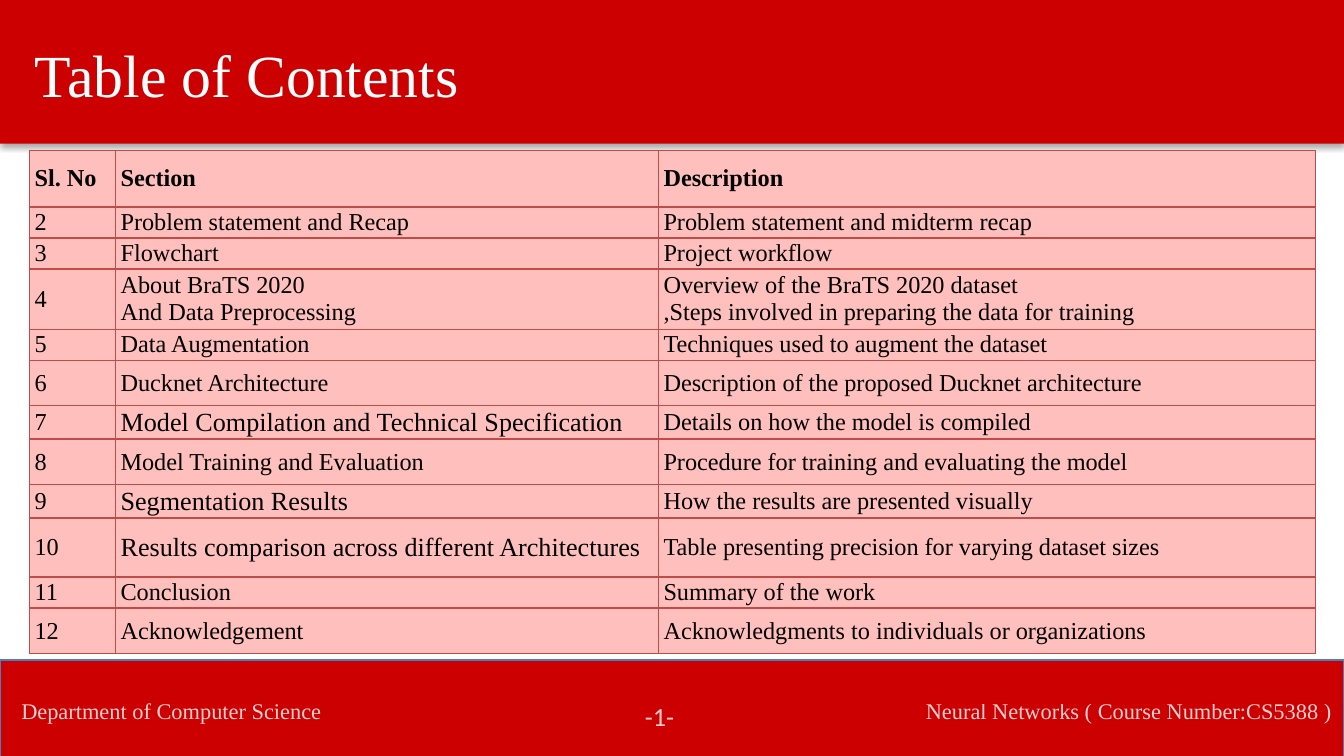
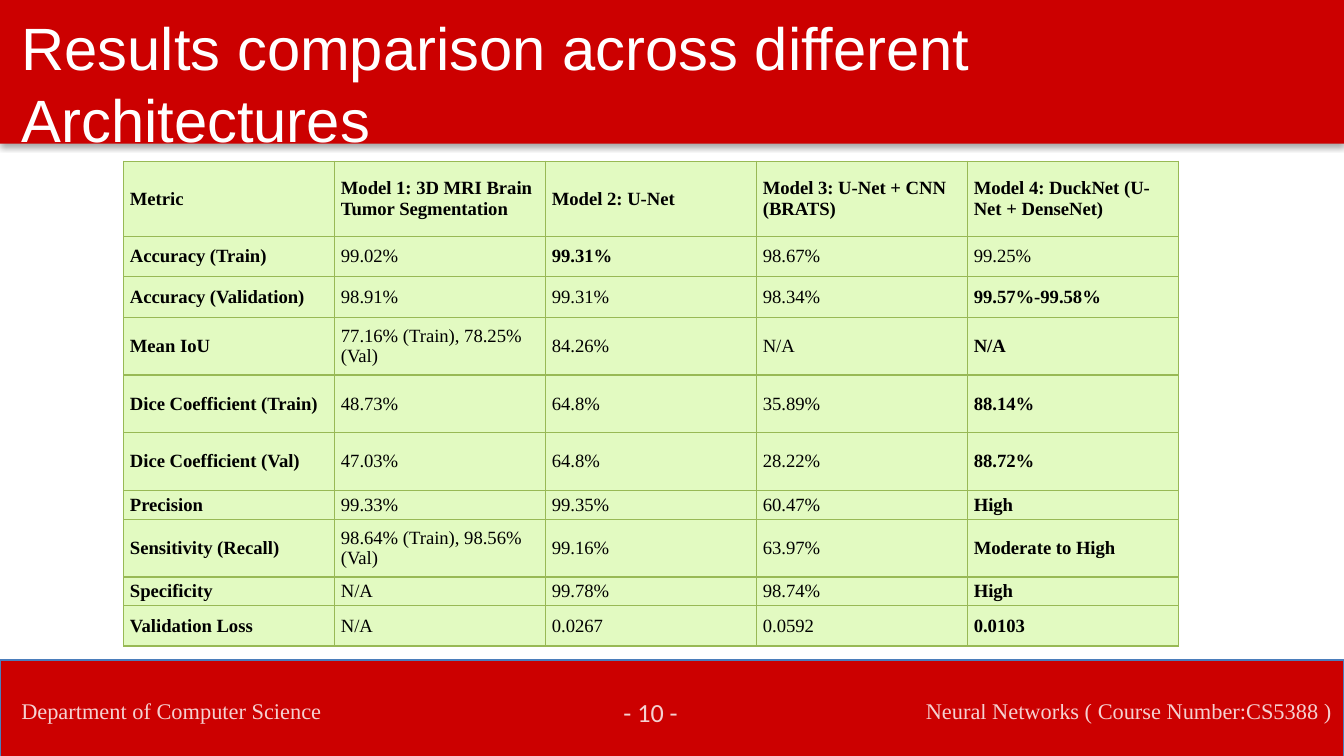
from dataclasses import dataclass
from typing import NamedTuple

from lxml.etree import SubElement
from pptx import Presentation
from pptx.dml.color import RGBColor
from pptx.enum.shapes import MSO_SHAPE as Preset
from pptx.enum.text import MSO_ANCHOR as Anchor, MSO_AUTO_SIZE as AutoSize, PP_ALIGN as Align
from pptx.oxml.ns import qn
from pptx.util import Inches, Pt

# Shared look
RED = RGBColor(0xCC, 0x00, 0x00)
BLUE = RGBColor(0x4B, 0x7E, 0xBC)
WHITE = RGBColor(0xFF, 0xFF, 0xFF)
BLACK = RGBColor(0x00, 0x00, 0x00)
PINK = RGBColor(0xFF, 0xBF, 0xBD)
BRICK = RGBColor(0xBF, 0x4C, 0x48)
LIME = RGBColor(0xE2, 0xFA, 0xC1)
OLIVE = RGBColor(0x98, 0xB9, 0x55)
SERIF = "Times New Roman"
FOOTER_OPACITY = 82


class Area(NamedTuple):
    left: float
    top: float
    width: float
    height: float

    def lengths(self) -> list:
        return [Inches(value) for value in self]


class Section(NamedTuple):
    title: str
    description: str
    height: float = 0.23
    title_size: int = 13


class Metric(NamedTuple):
    name: str
    values: tuple
    height: float
    best: int = 4


@dataclass
class Cell:
    text: str
    size: int
    bold: bool = False


@dataclass
class Row:
    height: float
    cells: list


@dataclass
class Grid:
    area: Area
    widths: list
    rows: list
    fill: RGBColor
    border: RGBColor
    side_inset: Pt
    end_inset: Pt


@dataclass
class Label:
    text: str
    area: Area
    size: int = 12
    font: str = SERIF
    wrap: bool = True


@dataclass
class Page:
    title: str
    title_area: Area
    title_font: str
    number: Label
    grid: Grid


HEADER_AREA = Area(0, 0, 10, 1.07)
FOOTER_AREA = Area(0, 4.91, 10, 0.72)
FOOTERS = [
    Label("Neural Networks ( Course Number:CS5388 )", Area(6.79, 5.14, 3.72, 0.3)),
    Label("Department of Computer Science", Area(0.06, 5.14, 3.72, 0.3)),
]

# Contents, numbered from 2
SECTIONS = [
    Section("Problem statement and Recap", "Problem statement and midterm recap"),
    Section("Flowchart", "Project workflow"),
    Section("About BraTS 2020\nAnd Data Preprocessing",
            "Overview of the BraTS 2020 dataset\n"
            ",Steps involved in preparing the data for training", 0.44),
    Section("Data Augmentation", "Techniques used to augment the dataset"),
    Section("Ducknet Architecture", "Description of the proposed Ducknet architecture", 0.34),
    Section("Model Compilation and Technical Specification",
            "Details on how the model is compiled", title_size=14),
    Section("Model Training and Evaluation",
            "Procedure for training and evaluating the model", 0.34),
    Section("Segmentation Results", "How the results are presented visually", title_size=14),
    Section("Results comparison across different Architectures",
            "Table presenting precision for varying dataset sizes", 0.44, 14),
    Section("Conclusion", "Summary of the work"),
    Section("Acknowledgement", "Acknowledgments to individuals or organizations", 0.34),
]

# Results of the four models; best is the column in bold
MODELS = ["Metric", "Model 1: 3D MRI Brain Tumor Segmentation", "Model 2: U-Net",
          "Model 3: U-Net + CNN (BRATS)", "Model 4: DuckNet (U-Net + DenseNet)"]
METRICS = [
    Metric("Accuracy (Train)", ("99.02%", "99.31%", "98.67%", "99.25%"), 0.3, best=2),
    Metric("Accuracy (Validation)", ("98.91%", "99.31%", "98.34%", "99.57%-99.58%"), 0.3),
    Metric("Mean IoU", ("77.16% (Train), 78.25% (Val)", "84.26%", "N/A", "N/A"), 0.43),
    Metric("Dice Coefficient (Train)", ("48.73%", "64.8%", "35.89%", "88.14%"), 0.43),
    Metric("Dice Coefficient (Val)", ("47.03%", "64.8%", "28.22%", "88.72%"), 0.43),
    Metric("Precision", ("99.33%", "99.35%", "60.47%", "High"), 0.19),
    Metric("Sensitivity (Recall)",
           ("98.64% (Train), 98.56% (Val)", "99.16%", "63.97%", "Moderate to High"), 0.43),
    Metric("Specificity", ("N/A", "99.78%", "98.74%", "High"), 0.19),
    Metric("Validation Loss", ("N/A", "0.0267", "0.0592", "0.0103"), 0.3),
]


def contents_rows() -> list:
    rows = [Row(0.42, [Cell(text, 13, True) for text in ("Sl. No", "Section", "Description")])]
    for number, section in enumerate(SECTIONS, start=2):
        rows.append(Row(section.height, [Cell(str(number), 13),
                                         Cell(section.title, section.title_size),
                                         Cell(section.description, 13)]))
    return rows


def results_rows() -> list:
    rows = [Row(0.56, [Cell(text, 10, True) for text in MODELS])]
    for metric in METRICS:
        texts = (metric.name, *metric.values)
        rows.append(Row(metric.height, [Cell(text, 10, column in (0, metric.best))
                                        for column, text in enumerate(texts)]))
    return rows


PAGES = [
    Page("Table of Contents", Area(0.16, 0.23, 6.63, 0.64), SERIF,
         Label("-1-", Area(4.7, 5.16, 0.42, 0.34), 14, "Calibri", wrap=False),
         Grid(Area(0.22, 1.12, 9.57, 3.74), [0.64, 4.04, 4.89], contents_rows(),
              PINK, BRICK, Pt(2.7), Pt(0.5))),
    Page("Results comparison across different Architectures", Area(0.06, 0.03, 8.24, 1.18),
         "Arial",
         Label("- 10 -", Area(4.54, 5.13, 0.63, 0.34), 14, "Calibri", wrap=False),
         Grid(Area(0.92, 1.2, 7.85, 3.64), [1.57] * len(MODELS), results_rows(),
              LIME, OLIVE, Pt(3.4), Pt(1.7))),
]


def add_span(para, text: str, size: int, font: str, color: RGBColor, bold: bool = False):
    span = para.add_run()
    span.text = text
    span.font.size = Pt(size)
    span.font.name = font
    span.font.bold = bold
    span.font.color.rgb = color
    return span


def add_band(page, area: Area):
    band = page.shapes.add_shape(Preset.RECTANGLE, *area.lengths())
    band.shadow.inherit = False
    band.fill.solid()
    band.fill.fore_color.rgb = RED
    effects = band.element.spPr.find(qn("a:effectLst"))
    shadow = SubElement(effects, qn("a:outerShdw"), blurRad="40000", dist="23000",
                        dir="5400000", rotWithShape="0")
    color = SubElement(shadow, qn("a:srgbClr"), val=str(BLACK))
    SubElement(color, qn("a:alpha"), val="35000")
    return band


def add_header(page, layout) -> None:
    """Place the top band on the layout, where all pages share it."""
    band = add_band(page, HEADER_AREA)
    band.line.fill.background()
    band.element.nvSpPr.cNvPr.set("id", "20")
    layout.shapes.element.append(band.element)


def add_title(page, plan: Page) -> None:
    title = page.shapes.title
    title.left, title.top, title.width, title.height = plan.title_area.lengths()
    frame = title.text_frame
    frame.word_wrap = True
    frame.auto_size = AutoSize.SHAPE_TO_FIT_TEXT
    frame.vertical_anchor = Anchor.TOP
    para = frame.paragraphs[0]
    para.alignment = Align.LEFT
    add_span(para, plan.title, 32, plan.title_font, WHITE)


def add_label(page, label: Label) -> None:
    box = page.shapes.add_textbox(*label.area.lengths())
    frame = box.text_frame
    frame.word_wrap = label.wrap
    frame.auto_size = AutoSize.SHAPE_TO_FIT_TEXT
    add_span(frame.paragraphs[0], label.text, label.size, label.font, WHITE)
    for color in box.element.iter(qn("a:srgbClr")):
        SubElement(color, qn("a:alpha"), val=str(FOOTER_OPACITY * 1000))


def add_footer(page, number: Label) -> None:
    band = add_band(page, FOOTER_AREA)
    band.line.color.rgb = BLUE
    band.line.width = Pt(0.75)
    for label in (*FOOTERS, number):
        add_label(page, label)


def fill_cell(target, cell: Cell, grid: Grid) -> None:
    target.vertical_anchor = Anchor.MIDDLE
    target.margin_left = target.margin_right = grid.side_inset
    target.margin_top = target.margin_bottom = grid.end_inset
    properties = target._tc.get_or_add_tcPr()
    for side in ("lnL", "lnR", "lnT", "lnB"):
        line = SubElement(properties, qn(f"a:{side}"), w=str(Pt(0.75)))
        SubElement(SubElement(line, qn("a:solidFill")), qn("a:srgbClr"), val=str(grid.border))
    target.fill.solid()
    target.fill.fore_color.rgb = grid.fill
    frame = target.text_frame
    for index, text in enumerate(cell.text.split("\n")):
        para = frame.add_paragraph() if index else frame.paragraphs[0]
        add_span(para, text, cell.size, SERIF, BLACK, cell.bold)


def add_grid(page, grid: Grid) -> None:
    frame = page.shapes.add_table(len(grid.rows), len(grid.widths), *grid.area.lengths())
    table = frame.table
    table.first_row = table.horz_banding = False
    for column, width in zip(table.columns, grid.widths):
        column.width = Inches(width)
    for index, row in enumerate(grid.rows):
        table.rows[index].height = Inches(row.height)
        for column, cell in enumerate(row.cells):
            fill_cell(table.cell(index, column), cell, grid)
    # Setting rows resizes the frame, so restore its full height
    frame.height = Inches(grid.area.height)


def main() -> None:
    deck = Presentation()
    deck.slide_width = Inches(10)
    deck.slide_height = deck.slide_width * 9 // 16
    layout = deck.slide_layouts.get_by_name("Title Only")
    layout.background.fill.solid()
    layout.background.fill.fore_color.rgb = WHITE
    for index, plan in enumerate(PAGES):
        page = deck.slides.add_slide(layout)
        if index == 0:
            add_header(page, layout)
        add_title(page, plan)
        add_grid(page, plan.grid)
        add_footer(page, plan.number)
    deck.save("out.pptx")


if __name__ == "__main__":
    main()
